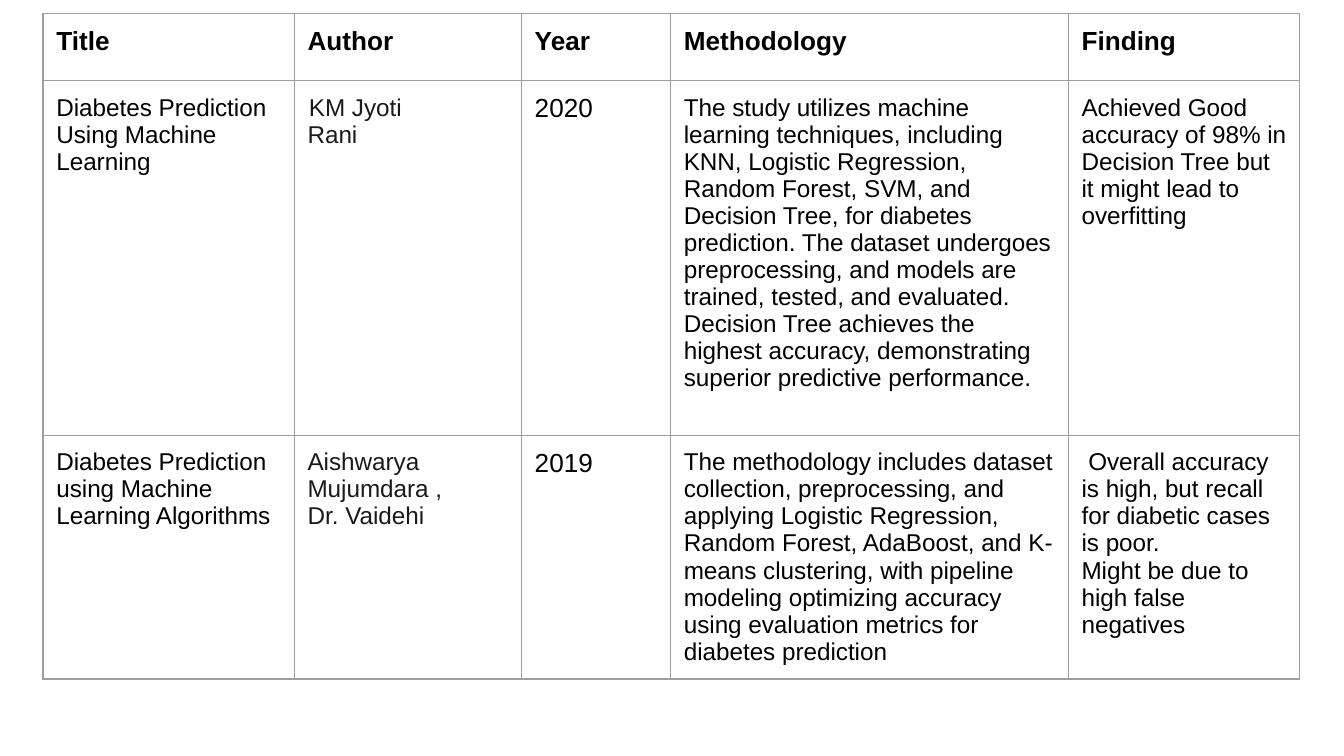
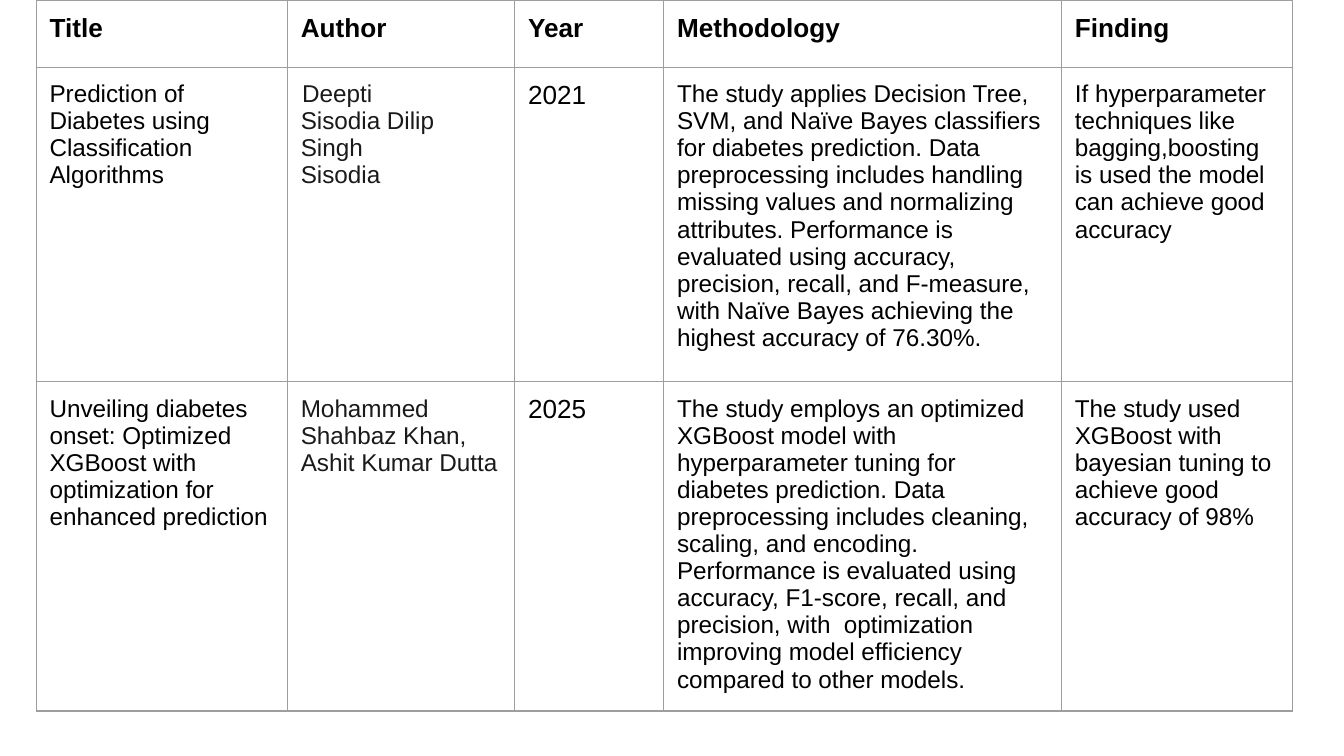
import dataclasses

import lxml.etree
import pptx
import pptx.dml.color
import pptx.oxml.ns
import pptx.util

Pt = pptx.util.Pt


@dataclasses.dataclass(frozen=True)
class Theme:
    font: str = "Arial"
    ink: str = "000000"
    author_ink: str = "1A1A1A"
    rule: str = "9E9E9E"
    rule_width: float = 0.75
    large: float = 14
    small: float = 13
    inset: float = 7.2


THEME = Theme()
HEADINGS = ["Title", "Author", "Year", "Methodology", "Finding"]
COLUMN_WIDTHS = [134.6, 121.7, 79.9, 213.1, 123.9]

# Text formats: headings, plain body text, and the columns that differ
HEADING = {"size": THEME.large, "bold": True, "ink": THEME.ink}
BODY = {"size": THEME.small, "bold": False, "ink": THEME.ink}
COLUMN_FORMATS = {
    "Author": BODY | {"ink": THEME.author_ink},
    "Year": BODY | {"size": THEME.large},
}
# The author names of the first study wrap in a narrower column
NARROW = {"marL": 0, "marR": 36, "indent": 0.7}

# Each study lists its cells in the order of HEADINGS; "\n" parts paragraphs
PAGES = [
    {
        "origin": (23, 7.2),
        "row_heights": [36, 190, 34.6],
        "studies": [
            [
                "Diabetes Prediction Using Machine Learning",
                "KM Jyoti Rani",
                "2020",
                "The study utilizes machine learning techniques, including KNN, "
                "Logistic Regression, Random Forest, SVM, and Decision Tree, for "
                "diabetes prediction. The dataset undergoes preprocessing, and "
                "models are trained, tested, and evaluated. Decision Tree achieves "
                "the highest accuracy, demonstrating superior predictive performance.",
                "Achieved Good accuracy of 98% in Decision Tree but it might lead "
                "to overfitting",
            ],
            [
                "Diabetes Prediction using Machine Learning Algorithms",
                "Aishwarya Mujumdara ,\nDr. Vaidehi",
                "2019",
                "The methodology includes dataset collection, preprocessing, and "
                "applying Logistic Regression, Random Forest, AdaBoost, and K-means "
                "clustering, with pipeline modeling optimizing accuracy using "
                "evaluation metrics for diabetes prediction",
                " Overall accuracy is high, but recall for diabetic cases is poor.\n"
                "Might be due to high false negatives",
            ],
        ],
    },
    {
        "origin": (19.4, 0),
        "row_heights": [36, 168.5, 176.4],
        "studies": [
            [
                "Prediction of Diabetes using Classification Algorithms",
                "Deepti Sisodia Dilip Singh Sisodia",
                "2021",
                "The study applies Decision Tree, SVM, and Naïve Bayes classifiers "
                "for diabetes prediction. Data preprocessing includes handling "
                "missing values and normalizing attributes. Performance is evaluated "
                "using accuracy, precision, recall, and F-measure, with Naïve Bayes "
                "achieving the highest accuracy of 76.30%.",
                "If hyperparameter techniques like bagging,boosting is used the "
                "model can achieve good accuracy",
            ],
            [
                "Unveiling diabetes onset: Optimized XGBoost with optimization for "
                "enhanced prediction",
                "Mohammed Shahbaz Khan, Ashit Kumar Dutta",
                "2025",
                "The study employs an optimized XGBoost model with hyperparameter "
                "tuning for diabetes prediction. Data preprocessing includes "
                "cleaning, scaling, and encoding. Performance is evaluated using "
                "accuracy, F1-score, recall, and precision, with  optimization "
                "improving model efficiency compared to other models.",
                "The study used XGBoost with bayesian tuning to achieve good "
                "accuracy of 98%",
            ],
        ],
    },
]


def rule_cell(cell):
    """Draw a thin line on all four sides and leave the cell unfilled."""
    properties = cell._tc.get_or_add_tcPr()
    qn = pptx.oxml.ns.qn
    for side in ("a:lnL", "a:lnR", "a:lnT", "a:lnB"):
        line = lxml.etree.SubElement(properties, qn(side), w=str(Pt(THEME.rule_width)))
        fill = lxml.etree.SubElement(line, qn("a:solidFill"))
        lxml.etree.SubElement(fill, qn("a:srgbClr"), val=THEME.rule)
    cell.fill.background()


def fill_cell(cell, text, style, indents):
    rule_cell(cell)
    for side in ("left", "top", "right", "bottom"):
        setattr(cell, f"margin_{side}", Pt(THEME.inset))
    cell.text = text
    for para in cell.text_frame.paragraphs:
        for name, length in indents.items():
            para._p.get_or_add_pPr().set(name, str(Pt(length)))
        for span in para.runs:
            values = {"name": THEME.font, "size": Pt(style["size"]), "bold": style["bold"]}
            for name, value in values.items():
                setattr(span.font, name, value)
            span.font.color.rgb = pptx.dml.color.RGBColor.from_string(style["ink"])


def add_study_table(page, origin, row_heights, studies):
    left, top = origin
    box = (left, top, sum(COLUMN_WIDTHS), sum(row_heights))
    table = page.shapes.add_table(
        len(row_heights), len(HEADINGS), *(Pt(length) for length in box)
    ).table
    table.first_row = table.horz_banding = False
    for column, width in zip(table.columns, COLUMN_WIDTHS):
        column.width = Pt(width)
    for row, height in zip(table.rows, row_heights):
        row.height = Pt(height)

    # Heading row, then one row for each study
    for row_index, texts in enumerate([HEADINGS, *studies]):
        for column_index, (heading, text) in enumerate(zip(HEADINGS, texts)):
            style = COLUMN_FORMATS.get(heading, BODY) if row_index else HEADING
            indents = NARROW if row_index == 1 and heading == "Author" else {}
            fill_cell(table.cell(row_index, column_index), text, style, indents)


def main():
    deck = pptx.Presentation()
    deck.slide_width, deck.slide_height = Pt(720), Pt(405)
    blank = deck.slide_layouts[6]
    for content in PAGES:
        add_study_table(deck.slides.add_slide(blank), **content)
    deck.save("out.pptx")


if __name__ == "__main__":
    main()
